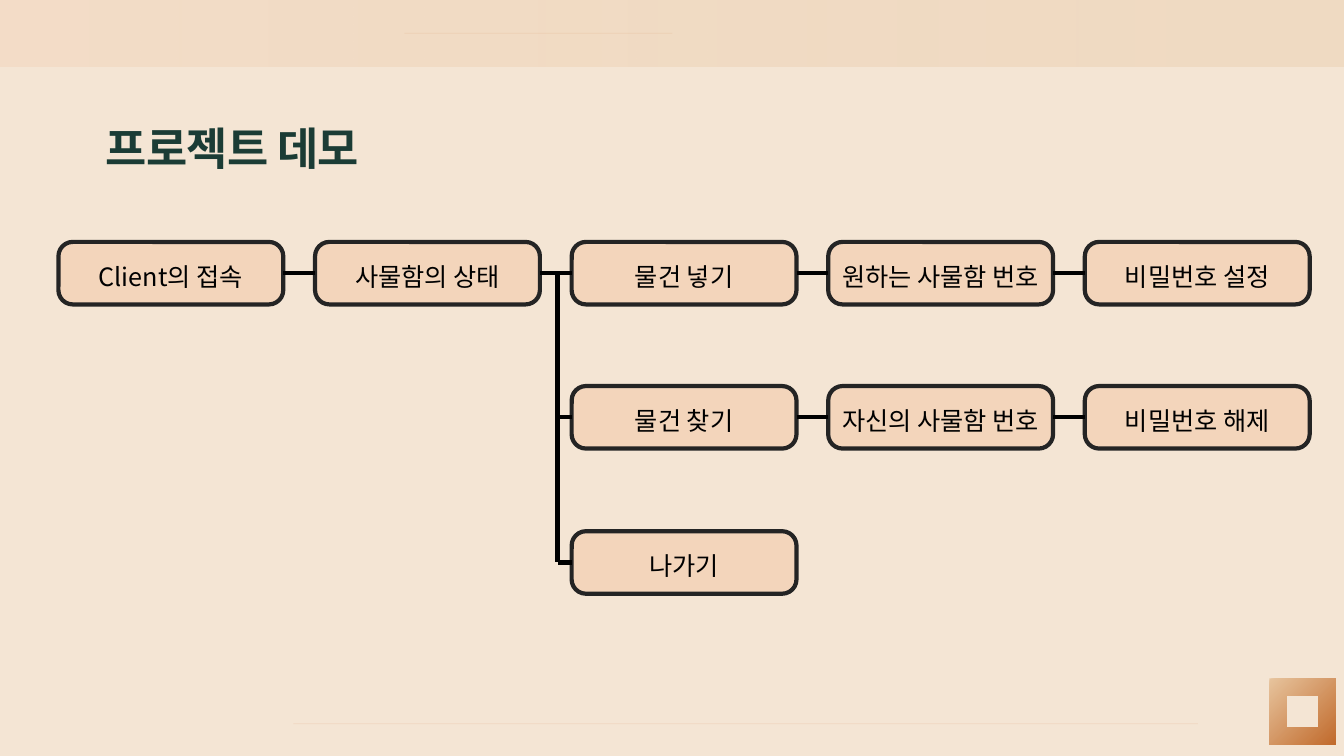
import pptx
import pptx.dml.color
import pptx.enum.shapes
import pptx.enum.text
import pptx.oxml.ns
import pptx.util
from lxml import etree

Inches = pptx.util.Inches
Pt = pptx.util.Pt
qn = pptx.oxml.ns.qn
FONT = "Noto Sans CJK KR"


def rgb(color):
    return pptx.dml.color.RGBColor.from_string(color)


def draw_line(start, end, color, width):
    line = slide.shapes.add_connector(
        pptx.enum.shapes.MSO_CONNECTOR.STRAIGHT,
        *[Inches(value) for value in (*start, *end)])
    line.line.color.rgb = rgb(color)
    line.line.width = Pt(width)
    etree.SubElement(line._element.spPr, qn("a:effectLst"))
    return line


presentation = pptx.Presentation()
presentation.slide_width = Inches(13.33)
presentation.slide_height = Inches(7.5)
slide = presentation.slides.add_slide(presentation.slide_layouts[5])
slide.background.fill.solid()
slide.background.fill.fore_color.rgb = rgb("F4E5D4")

# Top band and corner ornament: bounds, frame thickness, angle, gradient stops
ornaments = [
    ((0, 0, 13.33, 0.66), 0.5, 180, (("E7C49D", 31), ("F3D5BB", 50))),
    ((12.59, 6.73, 0.66, 0.66), 0.265, 315, (("E7C49D", 100), ("C16A2C", 100))),
]
for bounds, thickness, angle, stops in ornaments:
    ornament = slide.shapes.add_shape(
        pptx.enum.shapes.MSO_SHAPE.FRAME, *[Inches(value) for value in bounds])
    ornament.adjustments[0] = thickness
    ornament.shadow.inherit = False
    ornament.line.fill.background()
    ornament.fill.gradient()
    ornament.fill.gradient_angle = angle
    for position, (stop, (color, opacity)) in enumerate(
            zip(ornament.fill.gradient_stops, stops)):
        stop.position = position
        stop.color.rgb = rgb(color)
    for node, (color, opacity) in zip(ornament._element.spPr.iter(qn("a:srgbClr")), stops):
        etree.SubElement(node, qn("a:alpha"), val=str(opacity * 1000))

# Faint rules at the top and bottom
for left, right, top in ((4.01, 6.67, 0.33), (2.91, 11.88, 7.18)):
    faint_rule = draw_line((left, top), (right, top), "E3AB83", 0.5)
    for node in faint_rule._element.spPr.iter(qn("a:srgbClr")):
        etree.SubElement(node, qn("a:alpha"), val="24000")

# Title
title = slide.shapes.title
title.left, title.top = Inches(1.05), Inches(1.15)
title.width, title.height = Inches(6.03), Inches(0.62)
title_frame = title.text_frame
title_frame.auto_size = pptx.enum.text.MSO_AUTO_SIZE.NONE
title_frame.vertical_anchor = pptx.enum.text.MSO_ANCHOR.MIDDLE
title_frame.margin_left = title_frame.margin_right = 0
title_frame.margin_top = title_frame.margin_bottom = 0
title_frame.paragraphs[0].alignment = pptx.enum.text.PP_ALIGN.LEFT
heading = title_frame.paragraphs[0].add_run()
heading.text = "프로젝트 데모"
heading.font.size = Pt(32)
heading.font.bold = True
heading.font.name = FONT
heading.font.color.rgb = rgb("1B3C35")
heading.font._element.set("spc", "-60")
etree.SubElement(heading.font._element, qn("a:ea"), typeface=FONT)

# Flow steps, placed by row and column
flow = [
    ["Client의 접속", "사물함의 상태", "물건 넣기", "원하는 사물함 번호", "비밀번호 설정"],
    [None, None, "물건 찾기", "자신의 사물함 번호", "비밀번호 해제"],
    [None, None, "나가기"],
]
STEP_WIDTH, STEP_HEIGHT = 2.23, 0.62
lefts = [0.58 + 10.18 * column / 4 for column in range(5)]
tops = [2.4, 3.83, 5.27]
middles = [top + STEP_HEIGHT / 2 for top in tops]
steps = {}
for row, labels in enumerate(flow):
    for column, label in enumerate(labels):
        if label is None:
            continue
        step = slide.shapes.add_shape(
            pptx.enum.shapes.MSO_SHAPE.ROUNDED_RECTANGLE,
            Inches(lefts[column]), Inches(tops[row]),
            Inches(STEP_WIDTH), Inches(STEP_HEIGHT))
        step.adjustments[0] = 0.229
        step.shadow.inherit = False
        step.fill.solid()
        step.fill.fore_color.rgb = rgb("F3D5BB")
        step.line.color.rgb = rgb("242424")
        step.line.width = Pt(3)
        frame = step.text_frame
        frame.word_wrap = True
        frame.margin_left = frame.margin_right = 0
        frame.margin_top = frame.margin_bottom = 0
        frame.vertical_anchor = pptx.enum.text.MSO_ANCHOR.MIDDLE
        paragraph = frame.paragraphs[0]
        paragraph.alignment = pptx.enum.text.PP_ALIGN.CENTER
        paragraph.line_spacing = 1.2
        run = paragraph.add_run()
        run.text = label
        run.font.size = Pt(18)
        run.font.name = FONT
        run.font.color.rgb = rgb("000000")
        etree.SubElement(run.font._element, qn("a:ea"), typeface=FONT)
        steps[row, column] = step

# Links between neighbouring steps
for row, column in steps:
    if (row, column + 1) in steps:
        link = draw_line((lefts[column] + STEP_WIDTH, middles[row]),
                         (lefts[column + 1], middles[row]), "000000", 3)
        link.begin_connect(steps[row, column], 3)
        link.end_connect(steps[row, column + 1], 1)

# Trunk and its branches to the lower rows
TRUNK_X = 5.53
draw_line((TRUNK_X, middles[0]), (TRUNK_X, middles[2]), "000000", 3)
for row in (1, 2):
    branch = draw_line((TRUNK_X, middles[row]), (lefts[2], middles[row]), "000000", 3)
    branch.end_connect(steps[row, 2], 1)

presentation.save("out.pptx")
